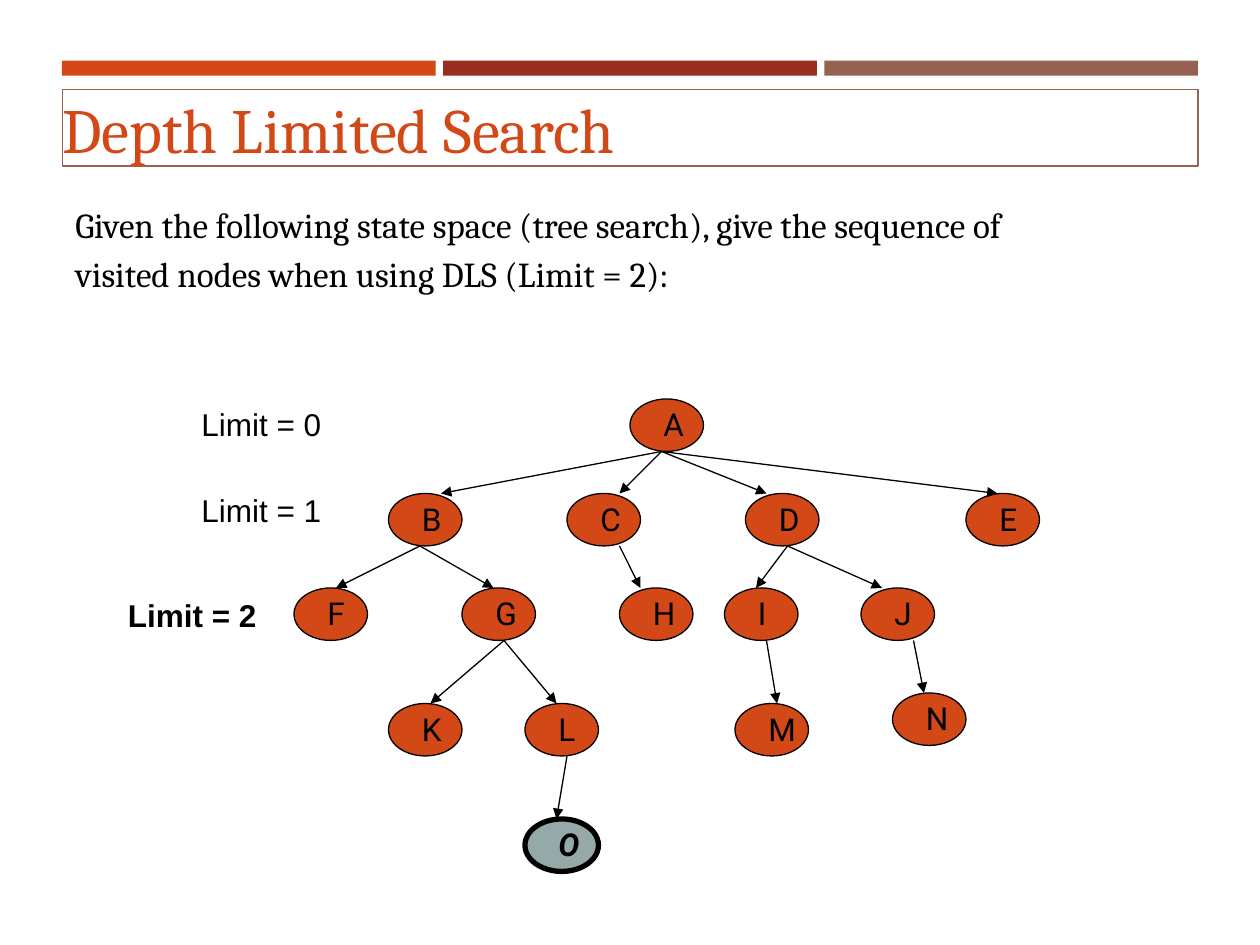
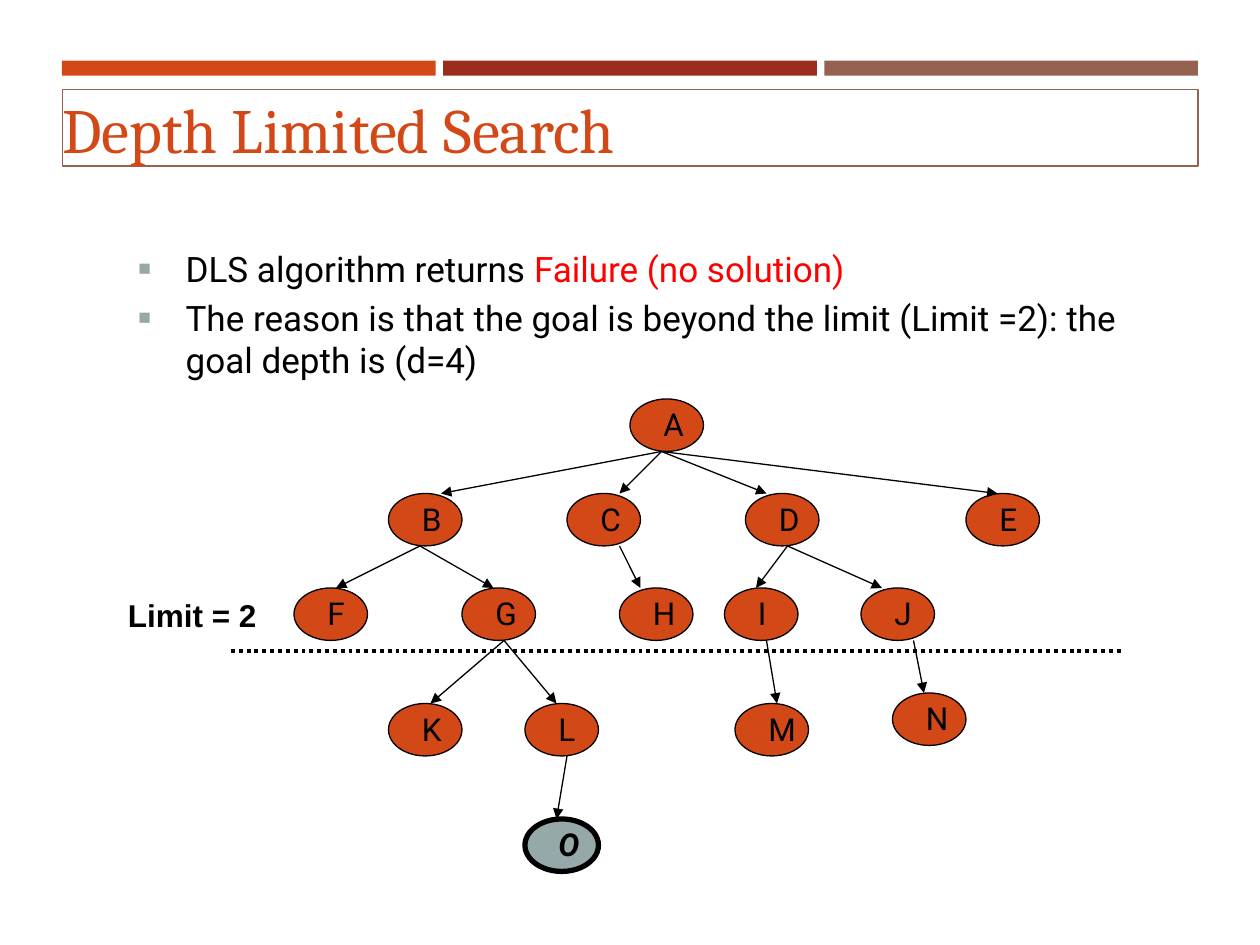
from dataclasses import dataclass

from lxml.etree import SubElement
from pptx import Presentation
from pptx.dml.color import RGBColor
from pptx.enum.dml import MSO_LINE
from pptx.enum.shapes import MSO_CONNECTOR, MSO_SHAPE
from pptx.enum.text import MSO_ANCHOR, MSO_AUTO_SIZE, PP_ALIGN
from pptx.oxml.ns import qn
from pptx.shapes.autoshape import Shape
from pptx.shapes.connector import Connector
from pptx.slide import Slide, SlideLayout
from pptx.text.text import TextFrame, _Paragraph as Paragraph
from pptx.util import Pt


@dataclass(frozen=True)
class Theme:
    orange: str = "D34817"
    rust: str = "9B2D1F"
    brown: str = "956251"
    sage: str = "96A9A9"
    black: str = "000000"
    red: str = "FF0000"
    serif: str = "Cambria"
    sans: str = "Roboto"
    label_font: str = "Arial"
    title_size: float = 36
    body_size: float = 20
    label_size: float = 18


@dataclass(frozen=True)
class Node:
    letter: str
    left: float
    top: float
    parent: str = ""
    entry: float = 0
    exit: float = 0
    goal: bool = False


@dataclass(frozen=True)
class LimitLabel:
    text: str
    left: float
    top: float
    bold: bool = False


@dataclass(frozen=True)
class Phrase:
    text: str
    color: str


THEME = Theme()
TITLE = "Depth Limited Search"
NODE_WIDTH, NODE_HEIGHT = 42, 30
LETTER_OFFSET, LETTER_WIDTH = 12, 30
LABEL_WIDTH, LABEL_HEIGHT = 96, 29
BODY_WIDTH, BODY_HEIGHT = 612, 66
HANGING_INDENT = 27
BAND_LEFT, BAND_TOP, BAND_WIDTH, BAND_HEIGHT, BAND_PITCH = 35.4, 34.6, 213.6, 8.6, 217.8

TREE = [
    Node("A", 360, 228, exit=18),
    Node("B", 222, 282, "A", entry=30, exit=18),
    Node("C", 324, 282, "A", entry=30, exit=30),
    Node("D", 426, 282, "A", entry=12, exit=24),
    Node("E", 552, 282, "A", entry=18),
    Node("F", 168, 336, "B", entry=24),
    Node("G", 264, 336, "B", entry=18, exit=24),
    Node("H", 354, 336, "C", entry=12),
    Node("I", 414, 336, "D", entry=18, exit=24),
    Node("J", 492, 336, "D", entry=12, exit=30),
    Node("K", 222, 402, "G", entry=24),
    Node("L", 300, 402, "G", entry=18, exit=24),
    Node("M", 420, 402, "I", entry=24),
    Node("N", 510, 396, "J", entry=18),
    Node("O", 300, 468, "L", entry=18, goal=True),
]

LIMIT_ZERO = LimitLabel("Limit = 0", 108, 228)
LIMIT_ONE = LimitLabel("Limit = 1", 108, 277.2)
LIMIT_TWO = LimitLabel("Limit = 2", 66, 337, bold=True)

QUESTION = [
    [Phrase("Given the following state space (tree search), give the sequence of", THEME.black)],
    [Phrase("visited nodes when using DLS (Limit = 2):", THEME.black)],
]
ANSWER = [
    [Phrase("DLS algorithm returns ", THEME.black), Phrase("Failure (no solution)", THEME.red)],
    [Phrase("The reason is that the goal is beyond the limit (Limit =2): "
            "the goal depth is (d=4)", THEME.black)],
]


def write(paragraph: Paragraph, text: str, *, font: str, size: float,
          color: str = THEME.black, bold: bool = False, italic: bool = False) -> None:
    run = paragraph.add_run()
    run.text = text
    run.font.name = font
    run.font.size = Pt(size)
    run.font.color.rgb = RGBColor.from_string(color)
    run.font.bold = bold
    run.font.italic = italic


def add_text_frame(shapes, left: float, top: float, width: float, height: float) -> TextFrame:
    text_frame = shapes.add_textbox(Pt(left), Pt(top), Pt(width), Pt(height)).text_frame
    text_frame.word_wrap = True
    return text_frame


def add_filled_shape(shapes, kind: MSO_SHAPE, left: float, top: float, width: float,
                     height: float, fill: str, line_width: float = 0) -> Shape:
    shape = shapes.add_shape(kind, Pt(left), Pt(top), Pt(width), Pt(height))
    shape.shadow.inherit = False
    shape.fill.solid()
    shape.fill.fore_color.rgb = RGBColor.from_string(fill)
    if line_width:
        shape.line.color.rgb = RGBColor.from_string(THEME.black)
        shape.line.width = Pt(line_width)
    else:
        shape.line.fill.background()
    return shape


def add_line(shapes, start: tuple[float, float], end: tuple[float, float],
             width: float) -> Connector:
    connector = shapes.add_connector(
        MSO_CONNECTOR.STRAIGHT, Pt(start[0]), Pt(start[1]), Pt(end[0]), Pt(end[1]))
    connector.line.color.rgb = RGBColor.from_string(THEME.black)
    connector.line.width = Pt(width)
    SubElement(connector.element.spPr, qn("a:effectLst"))
    return connector


def add_arrow(shapes, parent: Node, child: Node) -> None:
    arrow = add_line(
        shapes,
        (parent.left + parent.exit, parent.top + NODE_HEIGHT),
        (child.left + child.entry, child.top),
        0.75,
    )
    SubElement(arrow.element.spPr.find(qn("a:ln")), qn("a:tailEnd"), type="triangle")


def add_node(shapes, node: Node) -> None:
    add_filled_shape(
        shapes, MSO_SHAPE.OVAL, node.left, node.top, NODE_WIDTH, NODE_HEIGHT,
        THEME.sage if node.goal else THEME.orange, 3 if node.goal else 0.75)
    text_frame = add_text_frame(
        shapes, node.left + LETTER_OFFSET, node.top, LETTER_WIDTH, LABEL_HEIGHT)
    write(text_frame.paragraphs[0], node.letter, font=THEME.sans, size=THEME.label_size,
          bold=node.goal, italic=node.goal)


def add_tree(slide: Slide) -> None:
    shapes = slide.shapes.add_group_shape().shapes
    nodes = {node.letter: node for node in TREE}
    for node in TREE:
        add_node(shapes, node)
    for node in TREE:
        if node.parent:
            add_arrow(shapes, nodes[node.parent], node)


def add_limit_label(slide: Slide, label: LimitLabel) -> None:
    text_frame = add_text_frame(slide.shapes, label.left, label.top, LABEL_WIDTH, LABEL_HEIGHT)
    write(text_frame.paragraphs[0], label.text, font=THEME.label_font,
          size=THEME.label_size, bold=label.bold)


def add_bullet(paragraph: Paragraph) -> None:
    properties = paragraph._p.get_or_add_pPr()
    color = SubElement(properties, qn("a:buClr"))
    SubElement(color, qn("a:srgbClr"), val=THEME.sage)
    SubElement(properties, qn("a:buSzPct"), val="60000")
    SubElement(properties, qn("a:buFont"), typeface=THEME.label_font)
    SubElement(properties, qn("a:buChar"), char="■")


def add_body(slide: Slide, left: float, top: float, paragraphs: list[list[Phrase]], *,
             font: str, bulleted: bool = False) -> None:
    text_frame = add_text_frame(slide.shapes, left, top, BODY_WIDTH, BODY_HEIGHT)
    for index, phrases in enumerate(paragraphs):
        paragraph = text_frame.add_paragraph() if index else text_frame.paragraphs[0]
        paragraph.space_before = Pt(4 if index else 0)
        properties = paragraph._p.get_or_add_pPr()
        properties.set("marL", str(Pt(HANGING_INDENT)))
        properties.set("indent", str(-Pt(HANGING_INDENT)))
        if bulleted:
            add_bullet(paragraph)
        for phrase in phrases:
            write(paragraph, phrase.text, font=font, size=THEME.body_size, color=phrase.color)


def add_title(slide: Slide) -> None:
    title = slide.shapes.title
    title.left, title.top, title.width, title.height = Pt(35.7), Pt(51.2), Pt(648.7), Pt(43.8)
    title.line.color.rgb = RGBColor.from_string(THEME.brown)
    title.line.width = Pt(1)
    text_frame = title.text_frame
    text_frame.auto_size = MSO_AUTO_SIZE.NONE
    text_frame.vertical_anchor = MSO_ANCHOR.MIDDLE
    text_frame.margin_left = text_frame.margin_right = Pt(0)
    text_frame.margin_top = text_frame.margin_bottom = Pt(0)
    paragraph = text_frame.paragraphs[0]
    paragraph.alignment = PP_ALIGN.LEFT
    write(paragraph, TITLE, font=THEME.serif, size=THEME.title_size, color=THEME.orange)


def move_bands_to_layout(slide: Slide, layout: SlideLayout) -> None:
    for index, color in enumerate((THEME.orange, THEME.rust, THEME.brown)):
        band = add_filled_shape(
            slide.shapes, MSO_SHAPE.RECTANGLE, BAND_LEFT + index * BAND_PITCH, BAND_TOP,
            BAND_WIDTH, BAND_HEIGHT, color)
        layout.shapes.element.append(band.element)


def main() -> None:
    presentation = Presentation()
    presentation.slide_width, presentation.slide_height = Pt(720), Pt(540)
    layout = presentation.slide_layouts.get_by_name("Title Only")
    question_slide, answer_slide = [presentation.slides.add_slide(layout) for _ in range(2)]
    move_bands_to_layout(question_slide, layout)

    add_body(question_slide, 36, 113, QUESTION, font=THEME.serif)
    add_body(answer_slide, 72, 138, ANSWER, font=THEME.sans, bulleted=True)
    for slide, labels in (
        (question_slide, [LIMIT_ZERO, LIMIT_ONE, LIMIT_TWO]),
        (answer_slide, [LIMIT_TWO]),
    ):
        add_title(slide)
        add_tree(slide)
        for label in labels:
            add_limit_label(slide, label)

    cutoff = add_line(answer_slide.shapes, (132, 372), (642, 372), 2.25)
    cutoff.line.dash_style = MSO_LINE.ROUND_DOT
    presentation.save("out.pptx")


if __name__ == "__main__":
    main()
